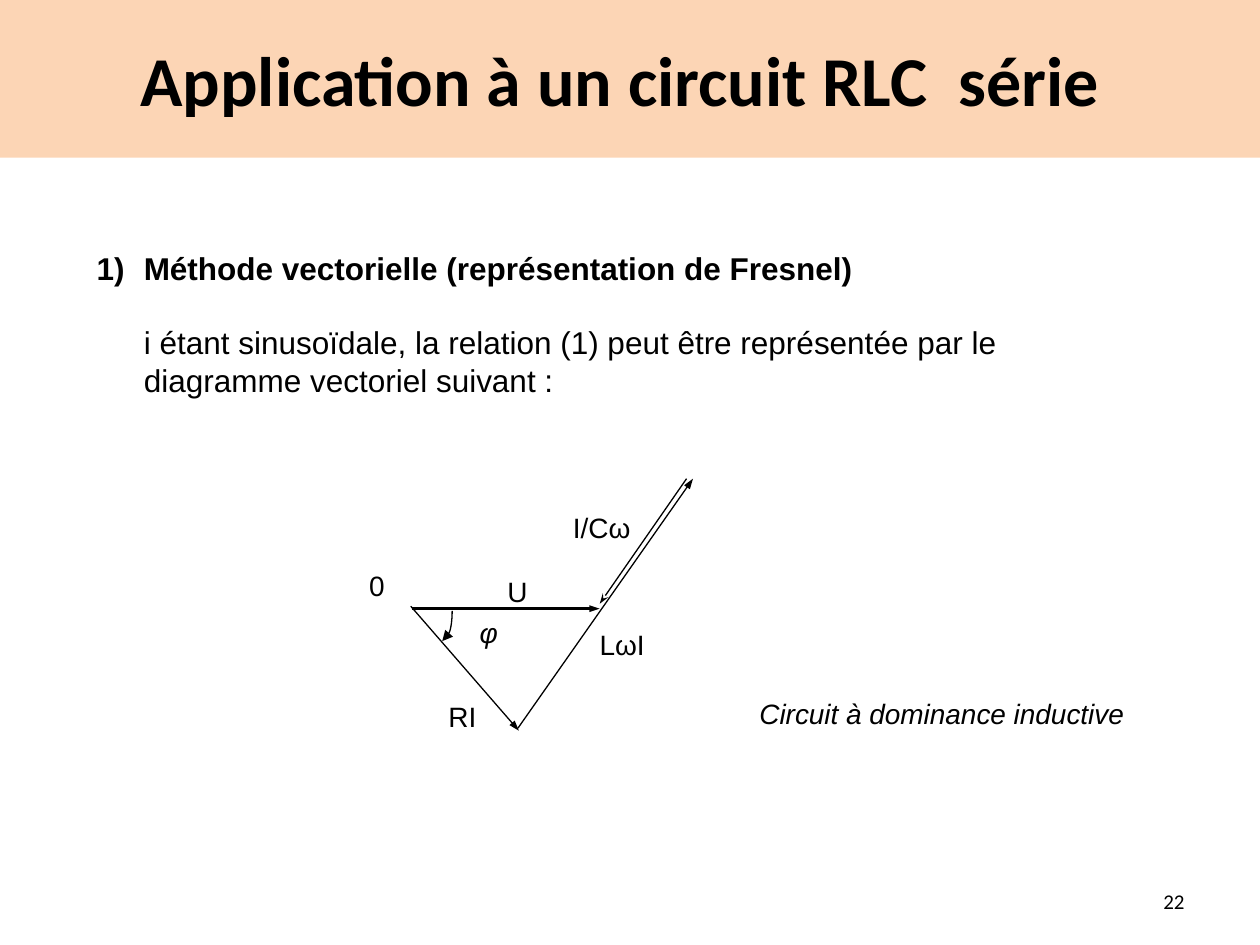
from dataclasses import dataclass

from lxml.etree import SubElement
from pptx import Presentation
from pptx.dml.color import RGBColor
from pptx.enum.shapes import MSO_CONNECTOR as Connector, MSO_SHAPE as Preset
from pptx.enum.text import MSO_ANCHOR as Anchor, MSO_AUTO_SIZE as AutoSize, PP_ALIGN as Align
from pptx.oxml.ns import qn
from pptx.util import Cm, Pt


@dataclass(frozen=True)
class Theme:
    ink: RGBColor = RGBColor(0, 0, 0)
    banner: RGBColor = RGBColor(0xFC, 0xD5, 0xB5)
    heading_font: str = "Calibri"
    body_font: str = "Arial"
    title_size: int = 40
    body_size: int = 18
    label_size: int = 16
    number_size: int = 12
    thin: float = 0.75
    thick: float = 1.5


class SlideBuilder:
    def __init__(self, presentation, theme):
        self.theme = theme
        self.slide = presentation.slides.add_slide(presentation.slide_layouts[6])
        self.diagram = None

    def style(self, paragraph, size, font=None, bold=False, italic=False):
        paragraph.font.name = font or self.theme.body_font
        paragraph.font.size = Pt(size)
        paragraph.font.bold = bold
        paragraph.font.italic = italic
        paragraph.font.color.rgb = self.theme.ink

    def title(self, text, width, height):
        shape = self.slide.shapes.add_shape(Preset.RECTANGLE, 0, 0, Cm(width), Cm(height))
        shape.shadow.inherit = False
        shape.fill.solid()
        shape.fill.fore_color.rgb = self.theme.banner
        shape.line.fill.background()
        frame = shape.text_frame
        frame.word_wrap = True
        frame.vertical_anchor = Anchor.MIDDLE
        frame.margin_right = Cm(0.65)
        paragraph = frame.paragraphs[0]
        paragraph.text = text
        paragraph.alignment = Align.CENTER
        self.style(paragraph, self.theme.title_size, self.theme.heading_font, bold=True)

    def text(self, text, left, top, width, height, size, shapes=None, **style):
        """Add a wrapping text box and return its frame."""
        shapes = shapes or self.slide.shapes
        frame = shapes.add_textbox(Cm(left), Cm(top), Cm(width), Cm(height)).text_frame
        frame.word_wrap = True
        frame.paragraphs[0].text = text
        self.style(frame.paragraphs[0], size, **style)
        return frame

    def section(self, heading, body, left, top, width, height):
        """Add a numbered heading with an indented paragraph below it."""
        size = self.theme.body_size
        frame = self.text("", left, top, width, height, size)
        frame.auto_size = AutoSize.SHAPE_TO_FIT_TEXT
        first, second = frame.paragraphs[0], frame.add_paragraph()
        first.text, second.text = heading, body
        indent = Cm(0.95)
        for paragraph, hanging in ((first, -indent), (second, 0)):
            properties = paragraph._p.get_or_add_pPr()
            properties.set("marL", str(indent))
            properties.set("indent", str(hanging))
        number = first._p.pPr.makeelement(qn("a:buAutoNum"), {"type": "arabicParenR"})
        first._p.pPr.insert(0, number)
        second.space_before = Pt(20.7)
        self.style(first, size, bold=True)
        self.style(second, size)

    def start_diagram(self):
        self.diagram = self.slide.shapes.add_group_shape().shapes

    def label(self, text, left, top, width, height=1.5, italic=False):
        self.text(text, left, top, width, height, self.theme.label_size,
                  self.diagram, italic=italic)

    def arrow(self, start, end, weight, head="triangle", head_width="sm",
              kind=Connector.STRAIGHT):
        points = [Cm(value) for value in (*start, *end)]
        connector = self.diagram.add_connector(kind, *points)
        connector.line.color.rgb = self.theme.ink
        connector.line.width = Pt(weight)
        SubElement(connector.line._get_or_add_ln(), qn("a:tailEnd"),
                   type=head, w=head_width, len="med")
        SubElement(connector._element.spPr, qn("a:effectLst"))
        return connector

    def angle_arrow(self, start, end, bend):
        """Add a curved arrow turned a quarter, bending at a share of its length."""
        connector = self.arrow(start, end, self.theme.thin, head_width="med",
                               kind=Connector.CURVE)
        properties = connector._element.spPr
        properties.find(qn("a:xfrm")).set("rot", str(90 * 60000))
        adjustments = properties.find(qn("a:prstGeom")).find(qn("a:avLst"))
        SubElement(adjustments, qn("a:gd"), name="adj1", fmla=f"val {round(bend * 100000)}")


def main():
    presentation = Presentation()
    presentation.slide_width, presentation.slide_height = Cm(25.4), Cm(19.05)
    theme = Theme()
    builder = SlideBuilder(presentation, theme)

    builder.title("Application à un circuit RLC  série", 25.4, 3.18)
    builder.section(
        "Méthode vectorielle (représentation de Fresnel)",
        "i étant sinusoïdale, la relation (1) peut être représentée par le "
        "diagramme vectoriel suivant\u00a0:",
        1.7, 4.9, 20.17, 3.33)
    caption = builder.text("Circuit à dominance inductive", 15.06, 13.92, 8.23, 0.94,
                           theme.label_size, italic=True)
    caption.auto_size = AutoSize.SHAPE_TO_FIT_TEXT
    number = builder.text("22", 18.21, 17.65, 5.92, 1.02, theme.number_size,
                          font=theme.heading_font)
    number.vertical_anchor = Anchor.MIDDLE
    number.paragraphs[0].alignment = Align.RIGHT

    builder.start_diagram()
    builder.arrow((8.28, 12.22), (10.46, 14.73), theme.thin)
    builder.arrow((13.84, 9.65), (12.09, 12.17), theme.thin, head="stealth")
    builder.arrow((10.44, 14.68), (13.97, 9.65), theme.thin)
    builder.arrow((8.31, 12.27), (12.09, 12.27), theme.thick)
    builder.angle_arrow((8.71, 12.52), (9.32, 12.72), bend=0.8)
    for text, left, top, width in (
        ("U", 9.98, 11.46, 1.3),
        ("RI", 8.79, 13.97, 1.88),
        ("LωI", 11.84, 12.52, 2.54),
        ("I/Cω", 11.3, 10.16, 2.95),
        ("0", 7.19, 11.33, 1.3),
    ):
        builder.label(text, left, top, width)
    builder.label("φ", 9.42, 12.29, 1.12, 1.75, italic=True)

    presentation.save("out.pptx")


if __name__ == "__main__":
    main()
